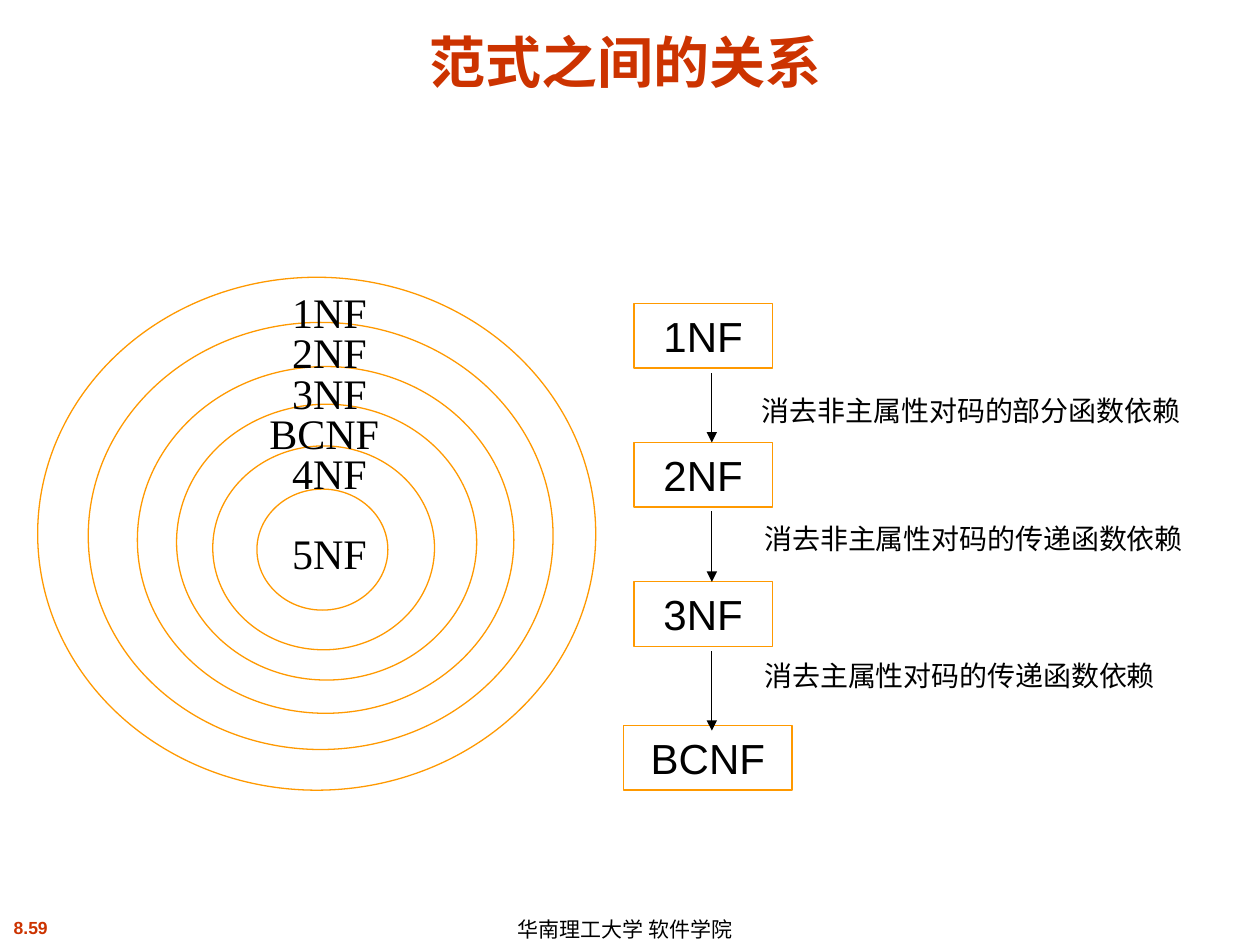
"""Build a slide on how the database normal forms relate to each other."""
from lxml import etree
from pptx import Presentation
from pptx.dml.color import RGBColor
from pptx.enum.shapes import MSO_CONNECTOR, MSO_SHAPE
from pptx.enum.text import MSO_ANCHOR, PP_ALIGN
from pptx.oxml.ns import qn
from pptx.util import Cm, Pt

RED = RGBColor(0xCC, 0x33, 0x00)
ORANGE = RGBColor(0xFF, 0x99, 0x00)
BLACK = RGBColor(0x00, 0x00, 0x00)
LEFT, CENTER = PP_ALIGN.LEFT, PP_ALIGN.CENTER
MIDDLE, BOTTOM = MSO_ANCHOR.MIDDLE, MSO_ANCHOR.BOTTOM
RECTANGLE, OVAL = MSO_SHAPE.RECTANGLE, MSO_SHAPE.OVAL
STRAIGHT = MSO_CONNECTOR.STRAIGHT


def write(box, text, size=24, font="Arial", color=BLACK, bold=False,
          align=LEFT, anchor=MIDDLE, wrap=True):
    frame = box.text_frame
    frame.word_wrap = wrap
    frame.vertical_anchor = anchor
    para = frame.paragraphs[0]
    para.alignment = align
    span = para.add_run()
    span.text = text
    span.font.size = Pt(size)
    span.font.name = font
    span.font.bold = bold
    span.font.color.rgb = color


def add_outline(shapes, kind, left, top, width, height):
    outline = shapes.add_shape(kind, Cm(left), Cm(top), Cm(width), Cm(height))
    outline.shadow.inherit = False
    outline.fill.background()
    outline.line.color.rgb = ORANGE
    outline.line.width = Pt(0.75)
    return outline


deck = Presentation()
deck.slide_width, deck.slide_height = Cm(25.4), Cm(19.05)
page = deck.slides.add_slide(deck.slide_layouts[5])

title = page.shapes.title
title.left, title.top, title.width, title.height = Cm(0.64), Cm(0.33), Cm(23.93), Cm(1.7)
write(title, "范式之间的关系", size=32, color=RED, bold=True, align=CENTER, anchor=BOTTOM)

number = page.shapes.add_textbox(Cm(0), Cm(18.36), Cm(1.24), Cm(0.69))
write(number, "8.59", size=10, color=RED, bold=True, align=CENTER, wrap=False)
footer = page.shapes.add_textbox(Cm(10.19), Cm(18.42), Cm(5.69), Cm(0.63))
write(footer, "华南理工大学 软件学院", size=12)

for form, left, top, width in [
    ("1NF", 12.78, 6.12, 2.79),
    ("2NF", 12.78, 8.92, 2.79),
    ("3NF", 12.78, 11.73, 2.79),
    ("BCNF", 12.57, 14.63, 3.4),
]:
    box = add_outline(page.shapes, RECTANGLE, left, top, width, 1.3)
    write(box, form, align=CENTER)

for start, end in [(7.52, 8.92), (10.31, 11.73), (13.13, 14.73)]:
    arrow = page.shapes.add_connector(STRAIGHT, Cm(14.35), Cm(start), Cm(14.35), Cm(end))
    arrow.line.color.rgb = BLACK
    arrow.line.width = Pt(0.75)
    etree.SubElement(arrow.line._get_or_add_ln(), qn("a:tailEnd"), type="triangle")
    etree.SubElement(arrow._element.spPr, qn("a:effectLst"))

for step, left, top in [
    ("消去非主属性对码的部分函数依赖", 15.11, 7.77),
    ("消去非主属性对码的传递函数依赖", 15.16, 10.34),
    ("消去主属性对码的传递函数依赖", 15.16, 13.11),
]:
    label = page.shapes.add_textbox(Cm(left), Cm(top), Cm(10.2), Cm(1.02))
    write(label, step, size=16)

rings = page.shapes.add_group_shape().shapes
for left, top, width, height in [
    (5.18, 9.86, 2.64, 2.44),
    (4.29, 8.99, 4.47, 4.11),
    (3.56, 8.15, 6.05, 5.56),
    (2.77, 7.39, 7.59, 6.99),
    (1.78, 6.5, 9.37, 8.61),
    (0.76, 5.59, 11.25, 10.34),
]:
    add_outline(rings, OVAL, left, top, width, height)

for form, row, left, width in [
    ("1NF", 0, 5.64, 2.44),
    ("2NF", 1, 5.64, 2.44),
    ("3NF", 2, 5.64, 2.44),
    ("4NF", 4, 5.64, 2.44),
    ("BCNF", 3, 5.18, 3.33),
    ("5NF", 6, 5.64, 2.44),
]:
    label = rings.add_textbox(Cm(left), Cm(5.59 + 0.81 * row), Cm(width), Cm(1.4))
    write(label, form, font="Times New Roman")

deck.save("out.pptx")
